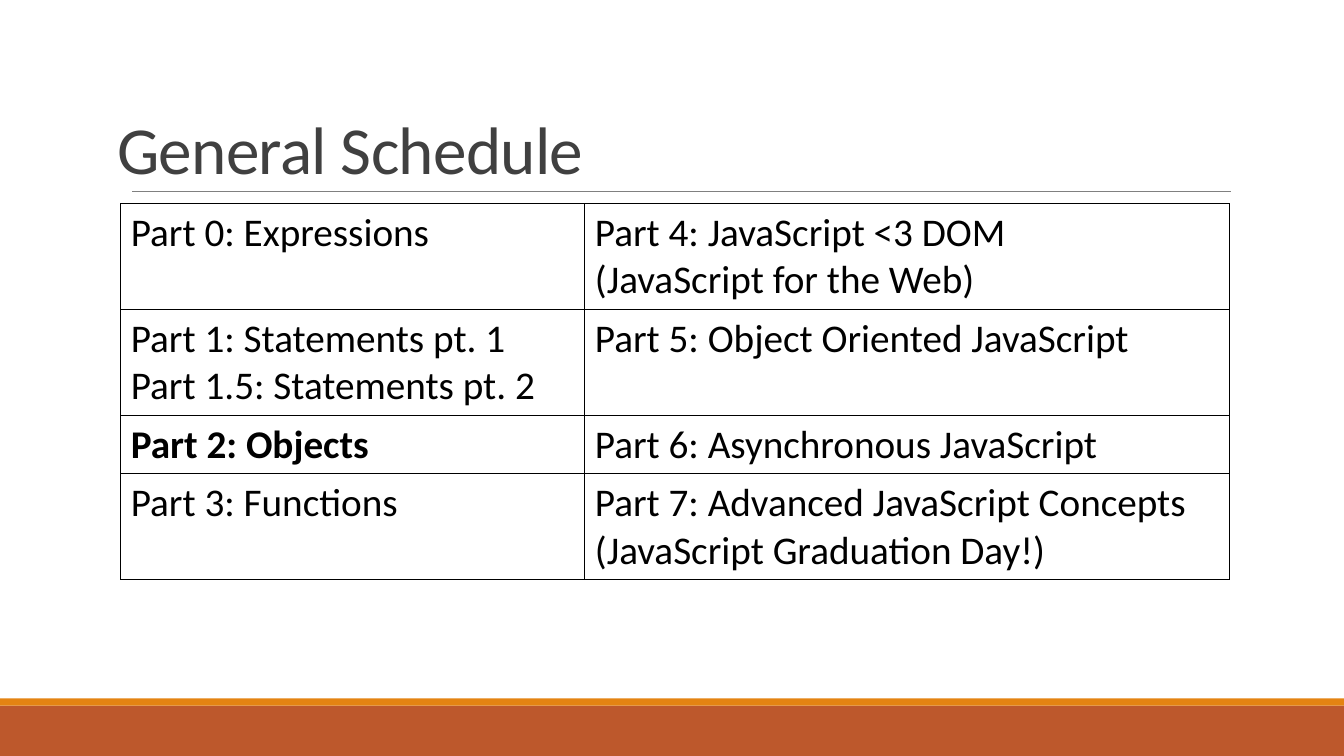
from pptx import Presentation
from pptx.dml.color import RGBColor
from pptx.enum.shapes import MSO_CONNECTOR, MSO_SHAPE
from pptx.enum.text import MSO_ANCHOR, MSO_AUTO_SIZE, PP_ALIGN
from pptx.oxml import parse_xml
from pptx.oxml.ns import nsdecls
from pptx.util import Pt

PX = 9525  # EMU per px, 96 px to the inch
RECT = MSO_SHAPE.RECTANGLE
STRAIGHT = MSO_CONNECTOR.STRAIGHT
BOTTOM = MSO_ANCHOR.BOTTOM
LEFT = PP_ALIGN.LEFT
NO_AUTOFIT = MSO_AUTO_SIZE.NONE

BLACK = RGBColor(0x00, 0x00, 0x00)
DARK_GREY = RGBColor(0x40, 0x40, 0x40)
GREY = RGBColor(0x80, 0x80, 0x80)
ORANGE = RGBColor(0xE4, 0x83, 0x12)
RUST = RGBColor(0xBD, 0x58, 0x2C)

WIDTH, HEIGHT = 1280, 720
COLUMNS = [442, 614]
ROW_HEIGHTS = [101, 101, 55, 101]
CURRENT_PART = "Part 2: Objects"
SCHEDULE = [
    ["Part 0: Expressions",
     "Part 4: JavaScript <3 DOM\v(JavaScript for the Web)"],
    ["Part 1: Statements pt. 1\vPart 1.5: Statements pt. 2",
     "Part 5: Object Oriented JavaScript"],
    [CURRENT_PART, "Part 6: Asynchronous JavaScript"],
    ["Part 3: Functions",
     "Part 7: Advanced JavaScript Concepts\v(JavaScript Graduation Day!)"],
]


def px(*lengths):
    return [n * PX for n in lengths]


class SlideBuilder:
    font = "Calibri"

    def __init__(self, slide):
        self.slide = slide
        self.shapes = slide.shapes

    def style(self, p, size, color, bold=False):
        for r in p.runs:
            r.font.name = self.font
            r.font.size = Pt(size)
            r.font.bold = bold
            r.font.color.rgb = color

    def title(self, text, x, y, w, h):
        sp = self.shapes.title
        sp.left, sp.top, sp.width, sp.height = px(x, y, w, h)
        tf = sp.text_frame
        tf.text = text
        tf.vertical_anchor = BOTTOM
        tf.auto_size = NO_AUTOFIT
        p = tf.paragraphs[0]
        p.alignment = LEFT
        p.line_spacing = 0.85
        self.style(p, 48, DARK_GREY)
        p.runs[0].font._element.set("spc", "-50")

    def bar(self, color, x, y, w, h):
        sp = self.shapes.add_shape(RECT, *px(x, y, w, h))
        sp.shadow.inherit = False
        sp.fill.solid()
        sp.fill.fore_color.rgb = color
        sp.line.fill.background()

    def line(self, color, weight, x1, y1, x2, y2):
        cxn = self.shapes.add_connector(STRAIGHT, *px(x1, y1, x2, y2))
        cxn.line.color.rgb = color
        cxn.line.width = Pt(weight)
        cxn._element.spPr.append(parse_xml(f"<a:effectLst {nsdecls('a')}/>"))

    def table(self, rows, x, y, columns, heights):
        frame = self.shapes.add_table(
            len(rows), len(columns), *px(x, y, sum(columns), sum(heights)))
        table = frame.table
        table.first_row = table.horz_banding = False
        for column, width in zip(table.columns, columns):
            column.width = width * PX
        for row, height, texts in zip(table.rows, heights, rows):
            row.height = height * PX
            for cell, text in zip(row.cells, texts):
                cell.text = text
                self.style(cell.text_frame.paragraphs[0], 28, BLACK,
                           text == CURRENT_PART)
                self.cell_borders(cell, BLACK, 1)
                cell.fill.background()

    def cell_borders(self, cell, color, weight):
        tc_pr = cell._tc.get_or_add_tcPr()
        for side in "LRTB":
            tc_pr.append(parse_xml(
                f'<a:ln{side} {nsdecls("a")} w="{Pt(weight)}"><a:solidFill>'
                f'<a:srgbClr val="{color}"/></a:solidFill></a:ln{side}>'))


def main():
    prs = Presentation()
    prs.slide_width, prs.slide_height = px(WIDTH, HEIGHT)
    title_only = prs.slide_layouts[5]
    s = SlideBuilder(prs.slides.add_slide(title_only))
    s.bar(RUST, 0, 672, WIDTH, 48)
    s.bar(ORANGE, 0, 665, WIDTH, 7)
    s.line(GREY, 0.5, 126, 182, 1172, 182)
    s.title("General Schedule", 102, 31, 1056, 153)
    s.table(SCHEDULE, 115, 194, COLUMNS, ROW_HEIGHTS)
    prs.save("out.pptx")


if __name__ == "__main__":
    main()
